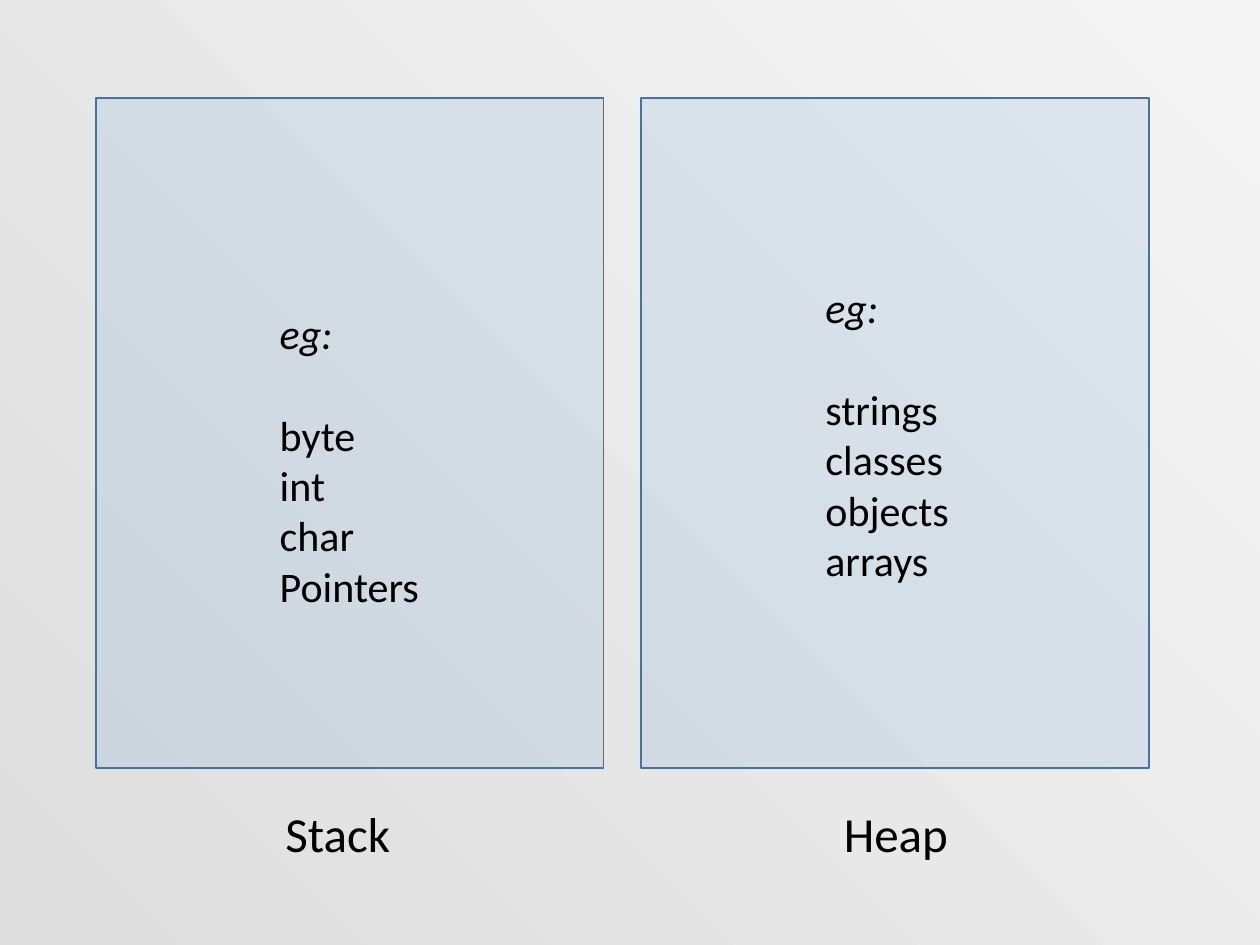
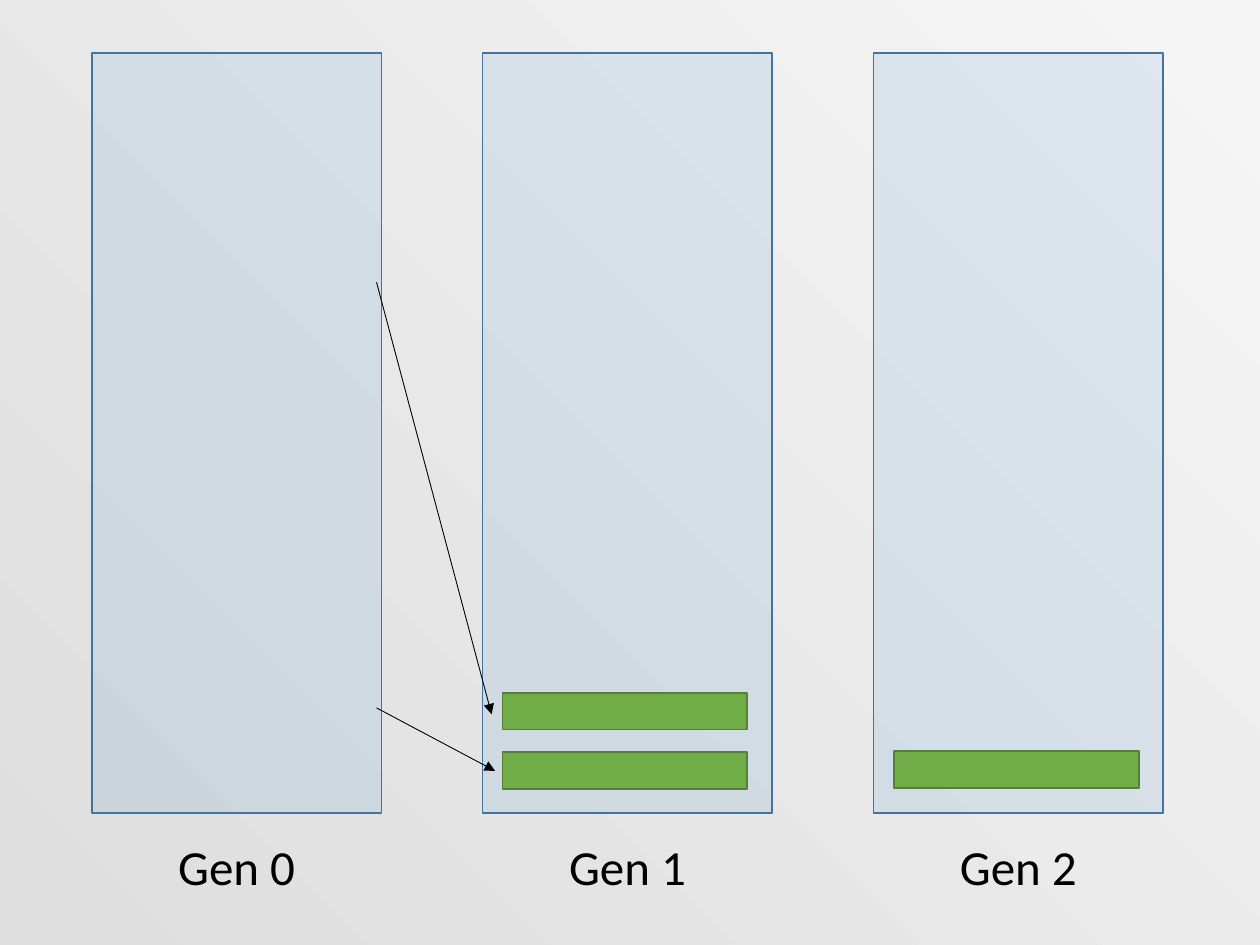
from lxml import etree
from pptx import Presentation
from pptx.dml.color import RGBColor
from pptx.enum import shapes, text
from pptx.oxml import ns
from pptx.util import Cm, Pt

COLOURS = {
    "back_light": "F5F5F5",
    "back_dark": "DEDEDE",
    "memory": "5B9BD5",
    "memory_edge": "43739E",
    "object": "70AD47",
    "object_edge": "538035",
    "ink": "000000",
}
COLOURS = {name: RGBColor.from_string(value) for name, value in COLOURS.items()}
FONT = "Calibri"
MEMORY_OPACITY = 15


def add_box(page, left, top, width, height, kind, opacity=100):
    box = page.shapes.add_shape(shapes.MSO_SHAPE.RECTANGLE,
                                Cm(left), Cm(top), Cm(width), Cm(height))
    box.shadow.inherit = False
    box.fill.solid()
    box.fill.fore_color.rgb = COLOURS[kind]
    box.line.color.rgb = COLOURS[kind + "_edge"]
    box.line.width = Pt(1)
    if opacity < 100:
        colour = box._element.spPr.find(ns.qn("a:solidFill"))[0]
        etree.SubElement(colour, ns.qn("a:alpha"), val=str(opacity * 1000))
    return box


def add_label(page, left, top, width, caption):
    label = page.shapes.add_textbox(Cm(left), Cm(top), Cm(width), Cm(1.45))
    frame = label.text_frame
    frame.word_wrap = True
    frame.auto_size = text.MSO_AUTO_SIZE.SHAPE_TO_FIT_TEXT
    para = frame.paragraphs[0]
    para.text = caption
    para.alignment = text.PP_ALIGN.CENTER
    para.font.name = FONT
    para.font.size = Pt(28)
    para.font.color.rgb = COLOURS["ink"]


deck = Presentation()
deck.slide_width, deck.slide_height = Cm(25.4), Cm(19.05)
blank = deck.slide_layouts[6]

# Shared background: light at top right, darker at bottom left
back = deck.slide_master.background.fill
back.gradient()
back.gradient_angle = 225
for stop, name in zip(back.gradient_stops, ("back_light", "back_dark")):
    stop.color.rgb = COLOURS[name]

# Slide 1: stack and heap; the extra top margin lowers the stack's list
page = deck.slides.add_slide(blank)
memories = [
    ("Stack", 1.16, ["eg:", "byte", "int", "char", "Pointers"]),
    ("Heap", 0.13, ["eg:", "strings", "classes", "objects", "arrays"]),
]
for index, (caption, margin_top, lines) in enumerate(memories):
    box = add_box(page, 1.93 + 11 * index, 1.98, 10.24, 13.51, "memory", MEMORY_OPACITY)
    frame = box.text_frame
    frame.margin_left = Cm(3.71)
    frame.margin_top = Cm(margin_top)
    frame.vertical_anchor = text.MSO_ANCHOR.MIDDLE
    for number, line in enumerate(lines):
        para = frame.add_paragraph() if number else frame.paragraphs[0]
        para.text = line
        para.alignment = text.PP_ALIGN.LEFT
        para.font.name = FONT
        para.font.size = Pt(24)
        para.font.color.rgb = COLOURS["ink"]
        para.font.italic = number == 0
    frame.paragraphs[0].space_after = Pt(29.3)
    add_label(page, 3.43 + 11.25 * index, 16.08, 6.76, caption)

# Slide 2: the three generations
page = deck.slides.add_slide(blank)
for generation in range(3):
    left = 1.85 + 7.88 * generation
    add_box(page, left, 1.07, 5.84, 15.32, "memory", MEMORY_OPACITY)
    add_label(page, left, 16.74, 5.84, f"Gen {generation}")

# Surviving objects
for left, top in [(18.03, 15.14), (10.13, 15.16), (10.13, 13.97)]:
    add_box(page, left, top, 4.93, 0.74, "object")

# Promotions from Gen 0 to Gen 1
for ends in [(7.59, 5.69, 9.91, 14.4), (7.59, 14.27, 9.98, 15.54)]:
    arrow = page.shapes.add_connector(shapes.MSO_CONNECTOR.STRAIGHT, *map(Cm, ends))
    arrow.line.color.rgb = COLOURS["ink"]
    arrow.line.width = Pt(0.5)
    etree.SubElement(arrow.line._get_or_add_ln(), ns.qn("a:tailEnd"), type="triangle")
    etree.SubElement(arrow._element.spPr, ns.qn("a:effectLst"))

deck.save("out.pptx")
